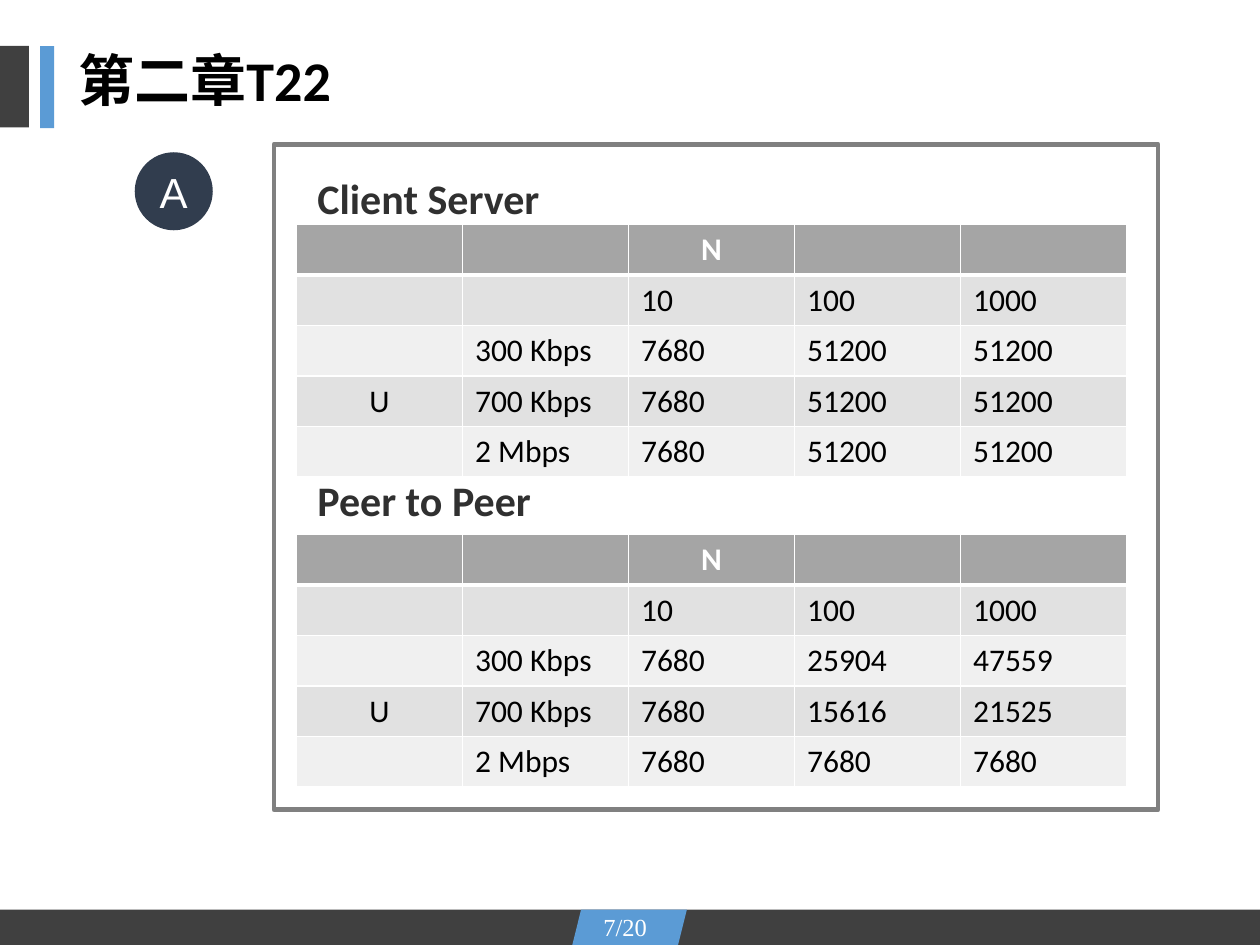
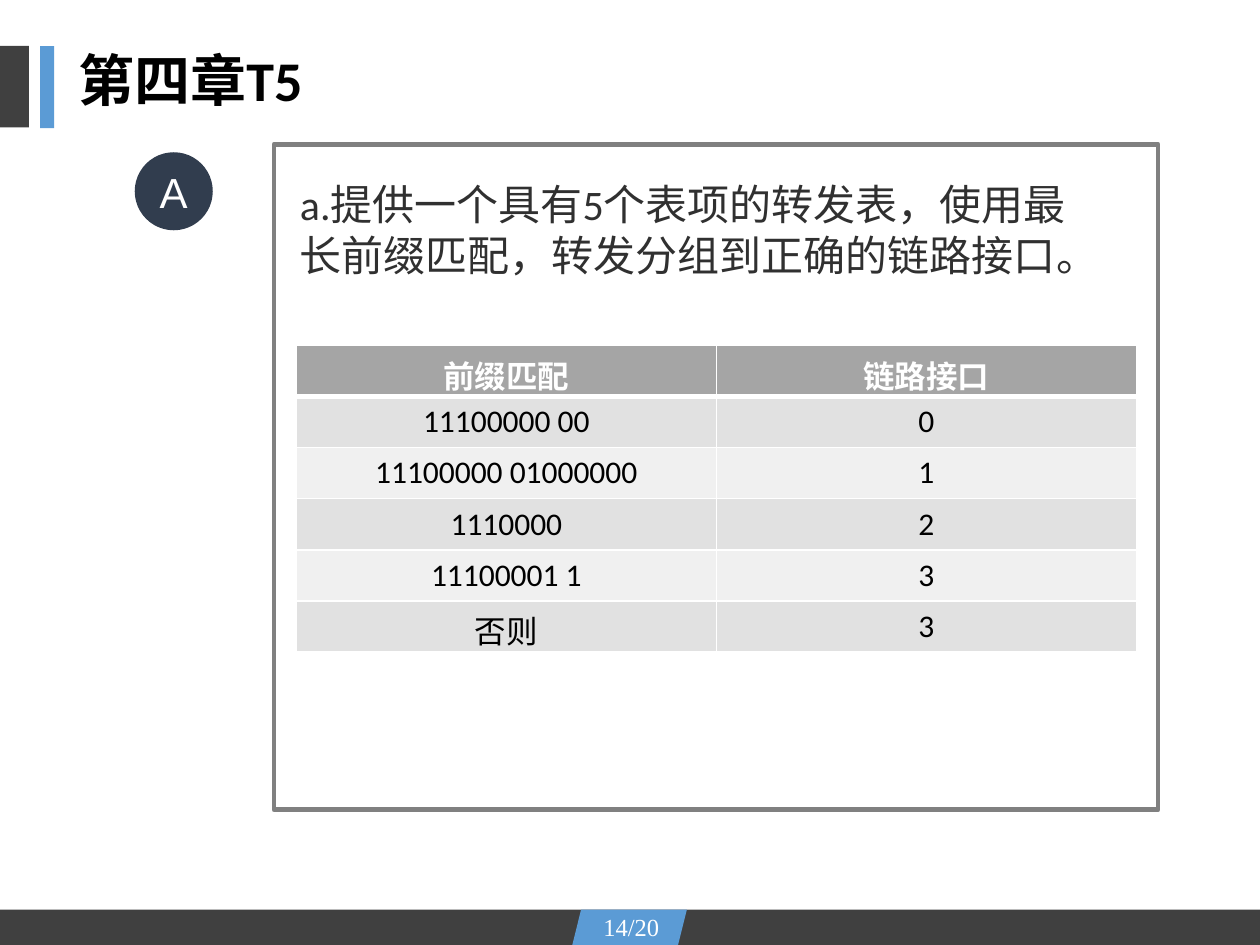
from lxml import etree
from pptx import Presentation
from pptx.dml.color import RGBColor
from pptx.enum.shapes import MSO_SHAPE
from pptx.enum.text import MSO_ANCHOR, MSO_AUTO_SIZE, PP_ALIGN
from pptx.oxml.ns import qn
from pptx.util import Pt

RECT = MSO_SHAPE.RECTANGLE
SLANT = MSO_SHAPE.PARALLELOGRAM
OVAL = MSO_SHAPE.OVAL
TOP = MSO_ANCHOR.TOP
MIDDLE = MSO_ANCHOR.MIDDLE
LEFT = PP_ALIGN.LEFT
CENTER = PP_ALIGN.CENTER
FIXED = MSO_AUTO_SIZE.NONE

COLORS = {
    "dark": "404040",
    "blue": "5B9BD5",
    "navy": "313D4E",
    "frame": "808080",
    "text": "303030",
    "black": "000000",
    "white": "FFFFFF",
    "head": "A5A5A5",
    "odd": "E1E1E1",
    "even": "F0F0F0",
}
TOTAL = 20
RATES = ["300 Kbps", "700 Kbps", "2 Mbps"]
SERVER = [["7680", "51200", "51200"]] * 3
PEER = [
    ["7680", "25904", "47559"],
    ["7680", "15616", "21525"],
    ["7680", "7680", "7680"],
]
ROUTES = [
    ["前缀匹配", "链路接口"],
    ["11100000 00", "0"],
    ["11100000 01000000", "1"],
    ["1110000", "2"],
    ["11100001 1", "3"],
    ["否则", "3"],
]


def color(name):
    return RGBColor.from_string(COLORS[name])


def style(para, size, tint, face="Calibri", bold=False, align=LEFT):
    para.alignment = align
    font = para.font
    font.size = Pt(size)
    font.name = face
    font.bold = bold
    font.color.rgb = color(tint)


def place(shape, left, top, width, height):
    shape.left, shape.top = Pt(left), Pt(top)
    shape.width, shape.height = Pt(width), Pt(height)


def add_block(slide, kind, box, fill=None, line=None):
    shape = slide.shapes.add_shape(kind, *map(Pt, box))
    shape.shadow.inherit = False
    if fill:
        shape.fill.solid()
        shape.fill.fore_color.rgb = color(fill)
    else:
        shape.fill.background()
    if line:
        shape.line.color.rgb = color(line)
        shape.line.width = Pt(2.5)
    else:
        shape.line.fill.background()
    return shape


def add_title(slide, text):
    title = slide.shapes.title
    place(title, 37.5, 26.6, 588, 46)
    frame = title.text_frame
    frame.text = text
    frame.vertical_anchor = TOP
    frame.auto_size = FIXED
    para = frame.paragraphs[0]
    para.line_spacing = 0.9
    style(para, 32, "black", bold=True)


def add_body(slide, lines, box, gap=0, bold=False):
    body = slide.placeholders[1]
    place(body, *box)
    frame = body.text_frame
    frame.text = "\n".join(lines)
    frame.auto_size = FIXED
    for i, para in enumerate(frame.paragraphs):
        style(para, 24, "text", bold=bold)
        para.line_spacing = Pt(28.8)
        para.space_before = Pt(gap if i else 0)
        props = para._p.get_or_add_pPr()
        props.set("marL", "0")
        props.set("indent", "0")
        mark = etree.Element(qn("a:buNone"))
        props.find(qn("a:spcBef")).addnext(mark)


def add_page(slide, num):
    add_block(slide, RECT, (0, 519.8, 720, 20.2), "dark")
    add_block(slide, SLANT, (327, 519.8, 65.5, 20.2), "blue")
    box = slide.shapes.add_textbox(Pt(337.7), Pt(517.7), Pt(48), Pt(24.5))
    box.text_frame.text = f"{num}/{TOTAL}"
    style(box.text_frame.paragraphs[0], 14, "white", "Times New Roman")


def add_badge(slide, text):
    badge = add_block(slide, OVAL, (77, 87, 44.6, 44.6), "navy")
    frame = badge.text_frame
    frame.text = text
    frame.vertical_anchor = MIDDLE
    style(frame.paragraphs[0], 24, "white", "Arial", align=CENTER)


def add_edges(cell, widths):
    props = cell._tc.get_or_add_tcPr()
    for i, (side, width) in enumerate(zip("LRTB", widths)):
        edge = etree.Element(qn(f"a:ln{side}"), w=str(Pt(width)))
        fill = etree.SubElement(edge, qn("a:solidFill"))
        etree.SubElement(fill, qn("a:srgbClr"), val=COLORS["white"])
        props.insert(i, edge)


def add_grid(slide, rows, top, width, height, mid):
    count = len(rows[0])
    table = slide.shapes.add_table(
        len(rows), count, Pt(169.4), Pt(top), Pt(width), Pt(height * len(rows))
    ).table
    for col in table.columns:
        col.width = Pt(width / count)
    for r, row in enumerate(rows):
        table.rows[r].height = Pt(height)
        fill = ("odd" if r % 2 else "even") if r else "head"
        for c, text in enumerate(row):
            cell = table.cell(r, c)
            cell.text = text
            cell.fill.solid()
            cell.fill.fore_color.rgb = color(fill)
            add_edges(cell, (1, 1, 3 if r == 1 else 1, 1 if r else 3))
            align = CENTER if r == 0 or c in mid else LEFT
            tint = "black" if r else "white"
            style(cell.text_frame.paragraphs[0], 18, tint, bold=r == 0, align=align)


def rate_rows(times):
    rows = [["", "", "N", "", ""], ["", "", "10", "100", "1000"]]
    for mark, rate, row in zip(["", "U", ""], RATES, times):
        rows.append([mark, rate, *row])
    return rows


def add_slide(deck, title, num):
    slide = deck.slides.add_slide(deck.slide_layouts[1])
    add_block(slide, RECT, (0, 26.2, 16.6, 46.6), "dark")
    add_block(slide, RECT, (23, 26.4, 7.9, 46.8), "blue")
    add_title(slide, title)
    add_page(slide, num)
    add_badge(slide, "A")
    add_block(slide, RECT, (156.5, 82.5, 505.4, 380.2), line="frame")
    return slide


def main():
    deck = Presentation()
    deck.slide_width, deck.slide_height = Pt(720), Pt(540)

    slide = add_slide(deck, "第二章T22", 7)
    heads = ["Client Server", "Peer to Peer"]
    add_body(slide, heads, (174.2, 95, 469.4, 269), gap=144, bold=True)
    add_grid(slide, rate_rows(SERVER), 128.3, 474.5, 28.8, [0])
    add_grid(slide, rate_rows(PEER), 305.4, 474.5, 28.8, [0])

    slide = add_slide(deck, "第四章T5", 14)
    task = "a.提供一个具有5个表项的转发表，使用最长前缀匹配，转发分组到正确的链路接口。"
    add_body(slide, [task], (164.2, 98.6, 469.4, 65.5))
    add_grid(slide, ROUTES, 197.4, 480, 29.2, [0, 1])

    deck.save("out.pptx")


if __name__ == "__main__":
    main()
